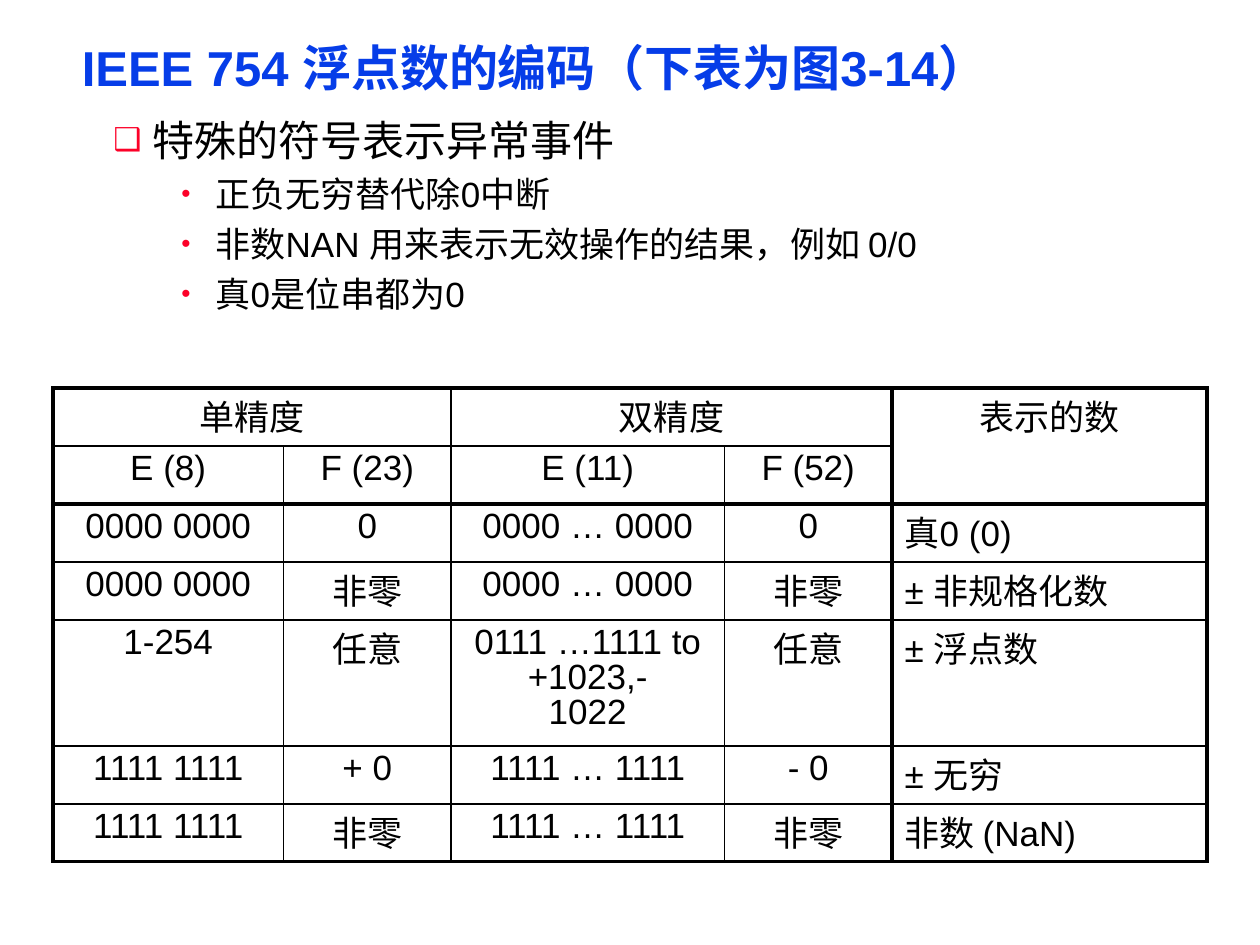
from dataclasses import dataclass
from lxml.etree import SubElement
from pptx import Presentation
from pptx.dml.color import RGBColor
from pptx.enum.text import MSO_ANCHOR as Anchor, MSO_AUTO_SIZE as AutoSize, PP_ALIGN as Align
from pptx.oxml.ns import qn
from pptx.util import Inches, Pt


@dataclass(frozen=True)
class Theme:
    font: str = "Arial"
    title: str = "063DE8"
    ink: str = "000000"
    bullet: str = "FC0128"
    title_size: int = 28
    lead_size: int = 24
    text_size: int = 20
    thin: float = 1
    thick: float = 2.25


THEME = Theme()

TITLE = "IEEE 754 浮点数的编码（下表为图3-14）"
POINTS = [
    (0, "特殊的符号表示异常事件"),
    (1, "正负无穷替代除0中断"),
    (1, "非数NAN 用来表示无效操作的结果，例如 0/0"),
    (1, "真0是位串都为0"),
]
ENCODINGS = [
    ["单精度", None, "双精度", None, "表示的数"],
    ["E (8)", "F (23)", "E (11)", "F (52)", None],
    ["0000 0000", "0", "0000 … 0000", "0", "真0 (0)"],
    ["0000 0000", "非零", "0000 … 0000", "非零", "± 非规格化数"],
    ["1-254", "任意", "0111 …1111 to\v+1023,-\v1022", "任意", "± 浮点数"],
    ["1111 1111", "+ 0", "1111 … 1111", "- 0", "± 无穷"],
    ["1111 1111", "非零", "1111 … 1111", "非零", "非数 (NaN)"],
]
COLUMNS = [1.83, 1.33, 2.17, 1.33, 2.5]
ROW, TALL_ROW = 0.46, 0.94
MERGES = [((0, 0), (0, 1)), ((0, 2), (0, 3)), ((0, 4), (1, 4))]
THICK_ROWS, THICK_COLUMNS = {0, 2, 7}, {0, 4, 5}


def style_para(para, size, color, bold=False, spacing=0.9, before=None):
    """Format a paragraph; before is a share of the line height."""
    para.line_spacing = spacing
    if before:
        gap = SubElement(para._p.get_or_add_pPr(), qn("a:spcBef"))
        SubElement(gap, qn("a:spcPct")).set("val", str(round(before * 100000)))
    for span in para.runs:
        span.font.name, span.font.size, span.font.bold = THEME.font, Pt(size), bold
        span.font.color.rgb = RGBColor.from_string(color)


def add_bullet(para, char, left, hanging):
    props = para._p.get_or_add_pPr()
    props.set("marL", str(Inches(left)))
    props.set("indent", str(-Inches(hanging)))
    color = SubElement(props, qn("a:buClr"))
    SubElement(color, qn("a:srgbClr")).set("val", THEME.bullet)
    SubElement(props, qn("a:buSzPct")).set("val", "75000")
    SubElement(props, qn("a:buFont")).set("typeface", THEME.font)
    SubElement(props, qn("a:buChar")).set("char", char)


def place(shape, box):
    shape.left, shape.top, shape.width, shape.height = map(Inches, box)
    frame = shape.text_frame
    frame.margin_left = frame.margin_right = Inches(0.07)
    frame.margin_top = frame.margin_bottom = Inches(0.03)
    frame.word_wrap, frame.auto_size = True, AutoSize.SHAPE_TO_FIT_TEXT
    frame.vertical_anchor = Anchor.TOP
    return frame


def fill_title(page, box):
    frame = place(page.shapes.title, box)
    frame.text = TITLE
    para = frame.paragraphs[0]
    para.alignment = Align.LEFT
    style_para(para, THEME.title_size, THEME.title, bold=True, spacing=0.87)


def fill_points(page, box):
    frame = place(page.placeholders[1], box)
    frame.text = "\n".join(text for _, text in POINTS)
    for para, (level, _) in zip(frame.paragraphs, POINTS):
        para.level = level
        if level:
            style_para(para, THEME.text_size, THEME.ink, spacing=0.85, before=0.4)
            add_bullet(para, "•", 0.81, 0.27)
        else:
            style_para(para, THEME.lead_size, THEME.ink, before=0.65)
            add_bullet(para, "❑", 0.31, 0.31)


def add_border(cell, side, thick):
    line = SubElement(cell._tc.get_or_add_tcPr(), qn("a:ln" + side))
    line.set("w", str(Pt(THEME.thick if thick else THEME.thin)))
    fill = SubElement(line, qn("a:solidFill"))
    SubElement(fill, qn("a:srgbClr")).set("val", THEME.ink)


def hidden_edges():
    """Sides that lie inside a merged cell, as (row, column, side)."""
    for (top, left), (bottom, right) in MERGES:
        sides = "RL" if top == bottom else "BT"
        yield top, left, sides[0]
        yield bottom, right, sides[1]


def fill_table(page, box):
    holder = page.shapes.add_table(len(ENCODINGS), len(COLUMNS), *map(Inches, box))
    table = holder.table
    table.first_row = table.horz_banding = False
    for column, width in zip(table.columns, COLUMNS):
        column.width = Inches(width)
    for row, texts in zip(table.rows, ENCODINGS):
        row.height = Inches(TALL_ROW if "\v" in texts[2] else ROW)
    for start, end in MERGES:
        table.cell(*start).merge(table.cell(*end))

    hidden = set(hidden_edges())
    for r, texts in enumerate(ENCODINGS):
        for c, text in enumerate(texts):
            cell = table.cell(r, c)
            edges = {"L": c in THICK_COLUMNS, "R": c + 1 in THICK_COLUMNS,
                     "T": r in THICK_ROWS, "B": r + 1 in THICK_ROWS}
            for side, thick in edges.items():
                if (r, c, side) not in hidden:
                    add_border(cell, side, thick)
            cell.fill.background()
            if text:
                cell.text_frame.text = text
                para = cell.text_frame.paragraphs[0]
                para.alignment = Align.LEFT if c == 4 and r > 1 else Align.CENTER
                style_para(para, THEME.text_size, THEME.ink, before=0.65)


deck = Presentation()
deck.slide_width, deck.slide_height = Inches(10), Inches(7.5)
page = deck.slides.add_slide(deck.slide_layouts[1])
fill_title(page, (0.58, 0.33, 8.92, 0.46))
fill_points(page, (0.83, 0.92, 8.92, 2.1))
fill_table(page, (0.42, 3.08, sum(COLUMNS), 6 * ROW + TALL_ROW))
deck.save("out.pptx")
